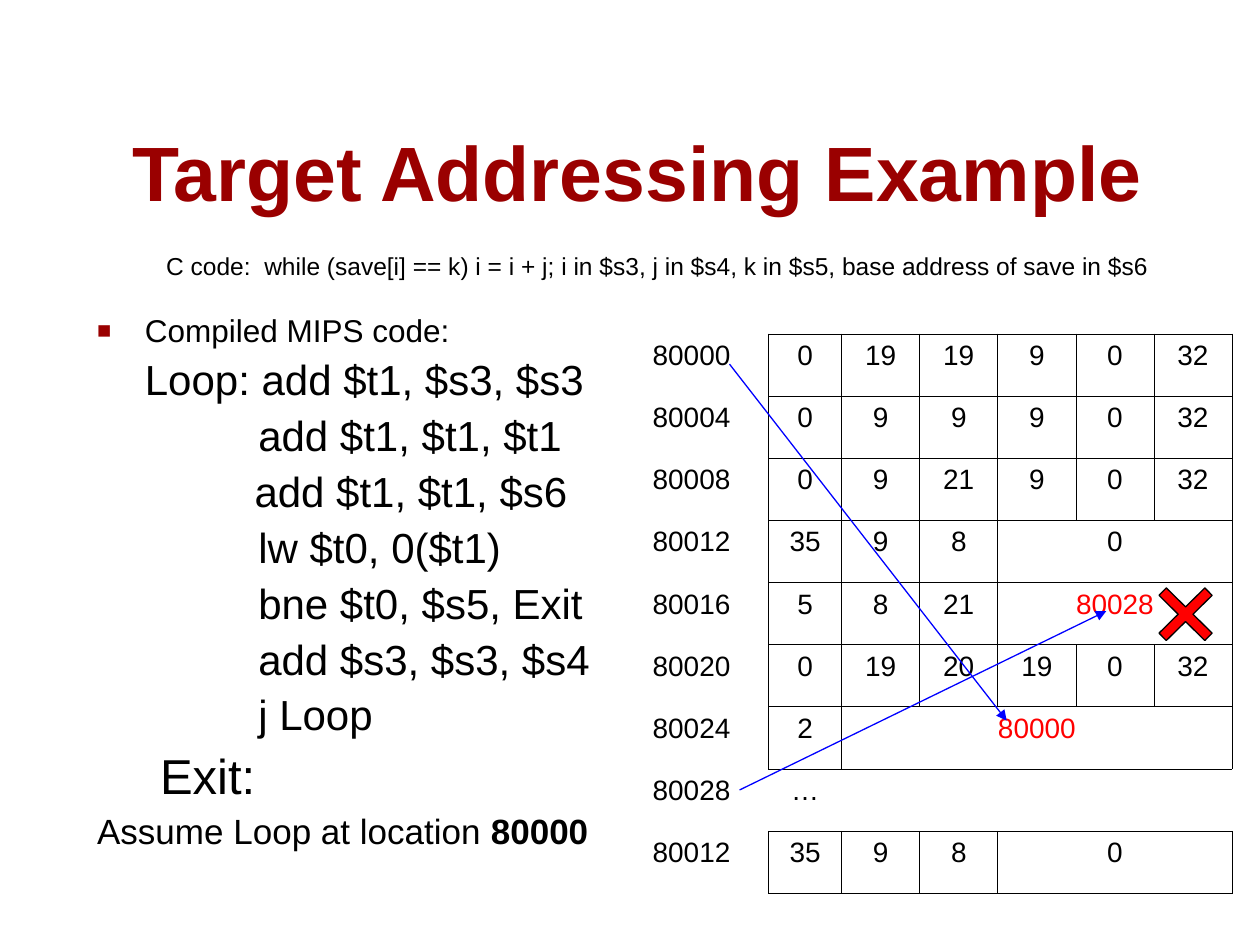
"""Build the "Target Addressing Example" slide: MIPS code beside its encoded instruction table."""
from lxml.etree import SubElement
from pptx import Presentation
from pptx.dml.color import RGBColor
from pptx.enum.shapes import MSO_CONNECTOR, MSO_SHAPE
from pptx.enum.text import MSO_ANCHOR, MSO_AUTO_SIZE, PP_ALIGN
from pptx.oxml import parse_xml
from pptx.oxml.ns import nsdecls, qn
from pptx.util import Inches, Pt

COLORS = {"title": "9A0000", "text": "000000", "wrong": "FF0000", "arrow": "0000FF", "paper": "FFFFFF"}


def set_font(para, size, color="text", bold=False):
    """Give a paragraph its Arial font."""
    para.font.name = "Arial"
    para.font.size = Pt(size)
    para.font.bold = bold
    para.font.color.rgb = RGBColor.from_string(COLORS[color])


def add_border(cell, side):
    """Draw one thin border of a table cell."""
    cell._tc.get_or_add_tcPr().append(parse_xml(
        f'<a:ln{side} {nsdecls("a")} w="5715"><a:solidFill><a:srgbClr val="{COLORS["text"]}"/>'
        f'</a:solidFill></a:ln{side}>'))


deck = Presentation()
deck.slide_width, deck.slide_height = Inches(10), Inches(7.5)
page = deck.slides.add_slide(deck.slide_layouts[1])

title = page.shapes.title
title.left, title.top, title.width, title.height = Inches(0.95), Inches(0.94), Inches(8.93), Inches(0.83)
title.text_frame.auto_size = MSO_AUTO_SIZE.NONE
title.text_frame.vertical_anchor = MSO_ANCHOR.BOTTOM
title.text_frame.text = "Target Addressing Example"
title.text_frame.paragraphs[0].alignment = PP_ALIGN.LEFT
set_font(title.text_frame.paragraphs[0], 44, "title", True)

body = page.placeholders[1]
body.left, body.top, body.width, body.height = Inches(0.67), Inches(2.25), Inches(4.35), Inches(4.58)
body.text_frame.auto_size = MSO_AUTO_SIZE.NONE
body.text_frame.margin_top = Inches(0.25)
code_lines = [
    ("Compiled MIPS code:", 0, 0.38, 18, 0),
    ("Loop: add $t1, $s3, $s3", 0, 0.38, 24, 6),
    ("add $t1, $t1, $t1", 2, 1.28, 24, 6),
    ("add $t1, $t1, $s6", 2, 1.25, 24, 6),
    ("lw $t0, 0($t1)", 2, 1.28, 24, 6),
    ("bne $t0, $s5, Exit", 2, 1.28, 24, 6),
    ("add $s3, $s3, $s4", 2, 1.28, 24, 6),
    ("j Loop", 2, 1.28, 24, 6),
    ("Exit:", 1, 0.5, 28, 7),
    ("Assume Loop at location ", 0, 0, 20, 5),
]
for number, (text, level, indent, size, space) in enumerate(code_lines):
    para = body.text_frame.paragraphs[0] if number == 0 else body.text_frame.add_paragraph()
    para.add_run().text = text
    para.level = level
    para.line_spacing = 0.9
    para.space_before = Pt(space)
    properties = para._p.get_or_add_pPr()
    properties.set("marL", str(Inches(indent)))
    properties.set("indent", str(-Inches(indent) if number == 0 else 0))
    if number == 0:
        SubElement(SubElement(properties, qn("a:buClr")), qn("a:srgbClr"), val=COLORS["title"])
        SubElement(properties, qn("a:buSzPct"), val="75000")
        SubElement(properties, qn("a:buFont"), typeface="Arial")
        SubElement(properties, qn("a:buChar"), char="■")
    else:
        SubElement(properties, qn("a:buNone"))
    set_font(para, size)
location = para.add_run()
location.text = "80000"
location.font.bold = True

instructions = [
    ("80000", "0", "19", "19", "9", "0", "32"),
    ("80004", "0", "9", "9", "9", "0", "32"),
    ("80008", "0", "9", "21", "9", "0", "32"),
    ("80012", "35", "9", "8", "0"),
    ("80016", "5", "8", "21", "80028"),
    ("80020", "0", "19", "20", "19", "0", "32"),
    ("80024", "2", "80000"),
    ("80028", "…"),
    ("80012", "35", "9", "8", "0"),
]
gap_row = 7
column_widths = [1.02, 0.58] + [0.62] * 5
frame = page.shapes.add_table(len(instructions), len(column_widths),
                              Inches(5.08), Inches(2.65), Inches(4.71), Inches(4.44))
table = frame.table
table.first_row = table.horz_banding = False
table._tbl.tblPr.find(qn("a:tableStyleId")).text = "{2D5ABB26-0587-4C30-8999-92F81FD0307C}"
for column, width in zip(table.columns, column_widths):
    column.width = Inches(width)

for row, fields in enumerate(instructions):
    for col in range(len(column_widths)):
        cell = table.cell(row, col)
        if col == 0:
            sides = "" if row == gap_row else "R"
        else:
            sides = "TB" if row == gap_row else "LRTB"
        for side in sides:
            add_border(cell, side)
        if row == gap_row and col > 0:
            cell.fill.solid()
            cell.fill.fore_color.rgb = RGBColor.from_string(COLORS["paper"])
        else:
            cell.fill.background()
        if col < len(fields):
            cell.text = fields[col]
            para = cell.text_frame.paragraphs[0]
            para.space_before = Pt(4)
            para.alignment = PP_ALIGN.CENTER if col else PP_ALIGN.LEFT
            set_font(para, 16, "wrong" if col and len(fields[col]) == 5 else "text")
    if row != gap_row and len(fields) < len(column_widths):
        table.cell(row, len(fields) - 1).merge(table.cell(row, len(column_widths) - 1))

for ends in [(5.79, 2.89, 7.99, 5.72), (5.87, 6.27, 8.78, 4.85)]:
    arrow = page.shapes.add_connector(MSO_CONNECTOR.STRAIGHT, *map(Inches, ends))
    arrow.line.color.rgb = RGBColor.from_string(COLORS["arrow"])
    arrow.line.width = Pt(0.75)
    SubElement(arrow.line._get_or_add_ln(), qn("a:tailEnd"), type="triangle")
    SubElement(arrow._element.spPr, qn("a:effectLst"))

source_code = page.shapes.add_textbox(Inches(1.22), Inches(1.94), Inches(8.11), Inches(0.34))
source_code.text_frame.word_wrap = True
source_code.text_frame.text = ("C code:  while (save[i] == k) i = i + j; i in $s3, j in $s4, "
                               "k in $s5, base address of save in $s6")
set_font(source_code.text_frame.paragraphs[0], 14)

cross = page.shapes.add_shape(MSO_SHAPE.MATH_MULTIPLY, Inches(9.06), Inches(4.53), Inches(0.7), Inches(0.69))
cross.adjustments[0] = 0.12
cross.shadow.inherit = False
cross.fill.solid()
cross.fill.fore_color.rgb = RGBColor.from_string(COLORS["wrong"])
cross.line.color.rgb = RGBColor.from_string(COLORS["text"])
cross.line.width = Pt(0.75)

deck.save("out.pptx")
